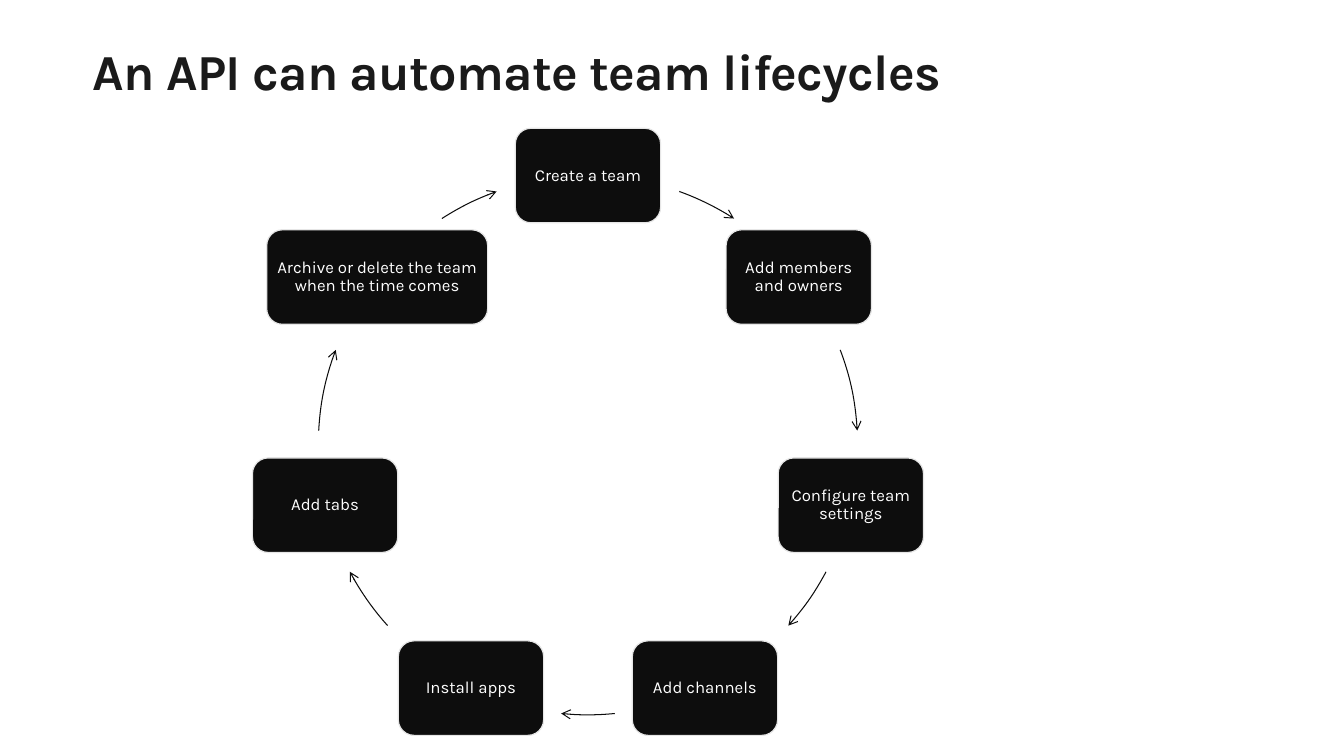
from dataclasses import dataclass
from math import cos, radians, sin

from lxml.etree import SubElement
from pptx import Presentation
from pptx.dml.color import RGBColor
from pptx.enum.shapes import MSO_SHAPE
from pptx.enum.text import MSO_ANCHOR, PP_ALIGN
from pptx.oxml.ns import qn
from pptx.slide import Slide
from pptx.util import Inches, Pt

INK = RGBColor(0x1A, 0x1A, 0x1A)
BLACK = RGBColor(0x0D, 0x0D, 0x0D)
PALE = RGBColor(0xE6, 0xE6, 0xE6)
WHITE = RGBColor(0xFF, 0xFF, 0xFF)
FONT = "Karla"

COLS, ROWS = 160, 90
CELL = Inches(1) / 12
CENTRE_COL, CENTRE_ROW, RADIUS = 70, 53, 32.1
STEP_ROWS = 11.25


@dataclass
class Step:
    label: str
    arrow_from: float
    arrow_to: float
    cols: float = 17.3


STEPS = [
    Step("Create a team", 19.8, 32.8),
    Step("Add members and owners", 69.3, 86.9),
    Step("Configure team settings", 118, 132),
    Step("Add channels", 174.3, 185.7),
    Step("Install apps", 228, 242),
    Step("Add tabs", 273.1, 290.7),
    Step("Archive or delete the team when the time comes", 327.2, 340.2, 26.3),
]


def grid(*cells: float) -> list[int]:
    return [round(n * CELL) for n in cells]


def add_title(s: Slide, text: str) -> None:
    tf = s.shapes.add_textbox(*grid(11.04, 4.8, 138, 7.3)).text_frame
    tf.word_wrap = True
    tf.margin_left = tf.margin_right = tf.margin_top = tf.margin_bottom = 0
    tf.text = text
    r = tf.paragraphs[0].runs[0]
    r.font.name, r.font.size, r.font.bold = FONT, Pt(36), True
    r.font.color.rgb = INK
    r.font._element.set("spc", "-50")


def add_step(s: Slide, step: Step, angle: float) -> None:
    col = CENTRE_COL + RADIUS * sin(radians(angle)) - step.cols / 2
    row = CENTRE_ROW - RADIUS * cos(radians(angle)) - STEP_ROWS / 2
    sp = s.shapes.add_shape(MSO_SHAPE.ROUNDED_RECTANGLE,
                            *grid(col, row, step.cols, STEP_ROWS))
    sp.shadow.inherit = False
    sp.fill.solid()
    sp.fill.fore_color.rgb = BLACK
    sp.line.color.rgb = PALE
    sp.line.width = Pt(0.85)
    tf = sp.text_frame
    tf.word_wrap = True
    tf.vertical_anchor = MSO_ANCHOR.MIDDLE
    tf.margin_left = tf.margin_right = tf.margin_top = tf.margin_bottom = Inches(0.05)
    tf.text = step.label
    p = tf.paragraphs[0]
    p.alignment = PP_ALIGN.CENTER
    p.line_spacing = 0.9
    r = p.runs[0]
    r.font.name, r.font.size = FONT, Pt(12)
    r.font.color.rgb = WHITE


def add_arrow(s: Slide, step: Step) -> None:
    sp = s.shapes.add_shape(MSO_SHAPE.ARC, *grid(
        CENTRE_COL - RADIUS, CENTRE_ROW - RADIUS, 2 * RADIUS, 2 * RADIUS))
    for i, angle in enumerate((step.arrow_from, step.arrow_to)):
        sp.adjustments[i] = (angle - 90) % 360 * 0.6
    sp.shadow.inherit = False
    sp.fill.background()
    sp.line.color.rgb = BLACK
    sp.line.width = Pt(0.75)
    SubElement(sp.line._get_or_add_ln(), qn("a:tailEnd"), type="arrow")


def main() -> None:
    prs = Presentation()
    prs.slide_width, prs.slide_height = grid(COLS, ROWS)
    s = prs.slides.add_slide(prs.slide_layouts[6])
    add_title(s, "An API can automate team lifecycles")
    for i, step in enumerate(STEPS):
        add_step(s, step, 360 / len(STEPS) * i)
        add_arrow(s, step)
    prs.save("out.pptx")


if __name__ == "__main__":
    main()
